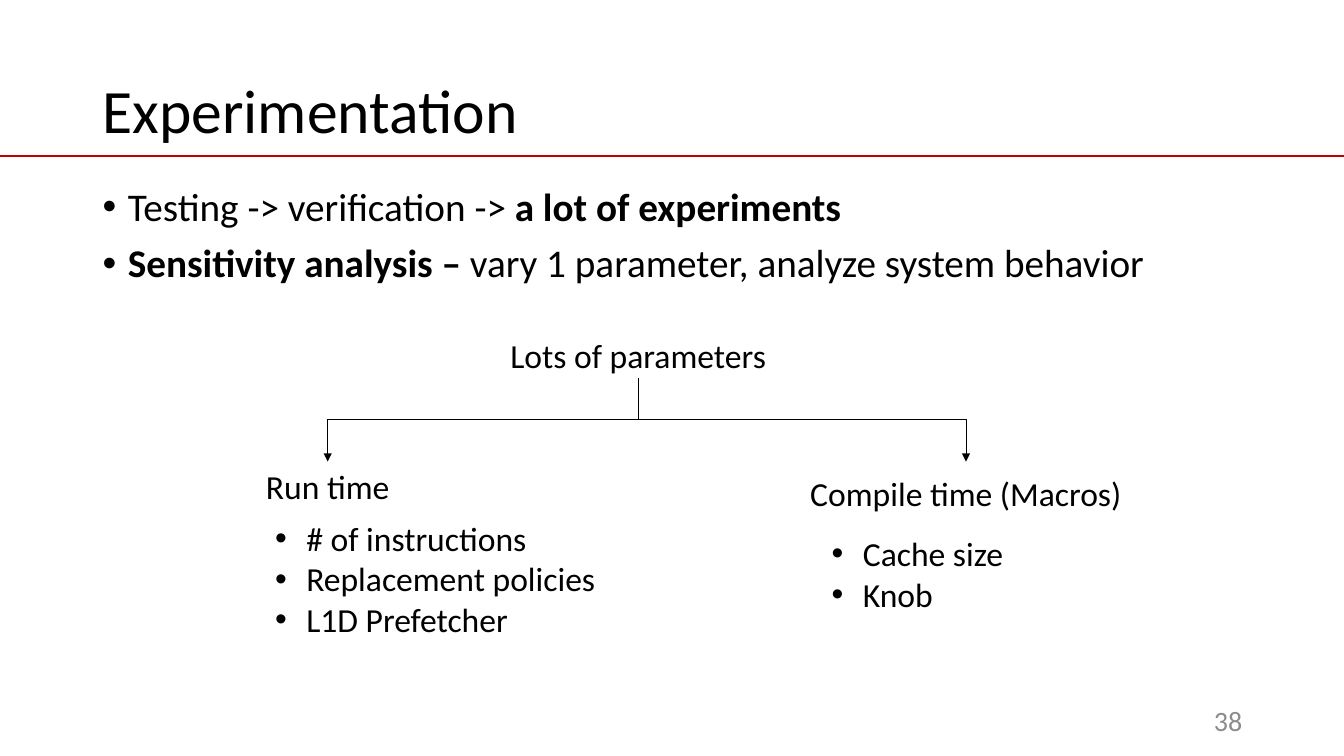
from lxml.etree import SubElement as Sub
from pptx import Presentation
from pptx.dml.color import RGBColor
from pptx.enum.shapes import MSO_CONNECTOR as Link, MSO_SHAPE as Shape
from pptx.enum.text import MSO_ANCHOR as Anchor, PP_ALIGN as Align
from pptx.oxml.ns import qn
from pptx.util import Inches, Pt

BLACK, WHITE, RED, GRAY = "000000", "FFFFFF", "C00000", "8C8C8C"


def paint(code):
    return RGBColor.from_string(code)


def write(frame, lines, size=24, color=BLACK, align=Align.LEFT,
          anchor=Anchor.TOP, indent=0, space=1, gap=0):
    frame.word_wrap = True
    frame.vertical_anchor = anchor
    for i, line in enumerate(lines):
        para = frame.paragraphs[0] if i == 0 else frame.add_paragraph()
        if indent:
            props = para._p.get_or_add_pPr()
            props.set("marL", str(Inches(indent)))
            props.set("indent", str(-Inches(indent)))
            Sub(props, qn("a:buFont"), typeface="Arial")
            Sub(props, qn("a:buChar"), char="•")
        para.alignment = align
        para.line_spacing = space
        para.space_before = Pt(gap if i else 0)
        for text, bold in [(line, False)] if isinstance(line, str) else line:
            run = para.add_run()
            run.text = text
            font = run.font
            font.name, font.size, font.bold = "Calibri", Pt(size), bold
            font.color.rgb = paint(color)


def add_text(slide, box, lines, **style):
    shape = slide.shapes.add_textbox(*map(Inches, box))
    write(shape.text_frame, lines, **style)


def add_node(slide, box, text, filled=True):
    node = slide.shapes.add_shape(Shape.ROUNDED_RECTANGLE, *map(Inches, box))
    node.shadow.inherit = False
    node.line.fill.background()
    if filled:
        node.fill.solid()
        node.fill.fore_color.rgb = paint(WHITE)
    else:
        node.fill.background()
    write(node.text_frame, [text], align=Align.CENTER, anchor=Anchor.MIDDLE)


def add_link(slide, kind, ends, color, width):
    link = slide.shapes.add_connector(kind, *map(Inches, ends))
    link.line.color.rgb = paint(color)
    link.line.width = Pt(width)
    Sub(link._element.spPr, qn("a:effectLst"))
    return link


def add_branch(slide, x, y, end, drop):
    mid_x, mid_y = (x + end) / 2, y + drop / 2
    side = 1 if end > x else -1
    half, reach = side * drop / 2, abs(end - x) / 2
    ends = mid_x + half, mid_y - reach, mid_x - half, mid_y + reach
    link = add_link(slide, Link.ELBOW, ends, BLACK, 0.5)
    angle = 270 if side > 0 else 90
    link._element.spPr.find(qn("a:xfrm")).set("rot", str(angle * 60000))
    Sub(link.line._get_or_add_ln(), qn("a:tailEnd"), type="triangle")


def add_head(slide, left, top, width, height):
    add_link(slide, Link.STRAIGHT, (0, 1.55, 13.33, 1.55), RED, 1.5)
    add_text(slide, (left, top, width, height), ["Experimentation"],
             size=44, anchor=Anchor.MIDDLE, space=0.9)


def add_points(slide, *box):
    lines = [
        [("Testing -> verification -> ", False), ("a lot of experiments", True)],
        [("Sensitivity analysis – ", True),
         ("vary 1 parameter, analyze system behavior", False)],
    ]
    add_text(slide, box, lines, size=28, indent=0.25, space=0.9, gap=10)


def add_tree(slide, left, top):
    root = left + 4.44
    add_node(slide, (root - 1.52, top, 3.04, 0.47), "Lots of parameters")
    groups = [
        ("Run time", 0, 2.72, 0.48, False, 0.74,
         ["# of instructions", "Replacement policies", "L1D Prefetcher"]),
        ("Compile time (Macros)", 5.71, 3.96, 0.63, True, 0.55,
         ["Cache size", "Knob"]),
    ]
    for name, shift, width, height, filled, inset, items in groups:
        x, y = left + shift, top + 1.29
        add_node(slide, (x, y, width, height), name, filled)
        add_branch(slide, root, top + 0.46, x + width / 2, 0.83)
        add_text(slide, (x + inset, y + height + 0.03, 3.96,
                         0.1 + 0.4 * len(items)), items, indent=0.31)


def main():
    deck = Presentation()
    deck.slide_width, deck.slide_height = Inches(13.33), Inches(7.5)
    slide = deck.slides.add_slide(deck.slide_layouts[6])
    add_head(slide, 0.92, 0.4, 11.5, 1.45)
    add_points(slide, 0.92, 1.81, 11.5, 1.31)
    add_tree(slide, 1.89, 3.29)
    add_text(slide, (9.42, 6.95, 3, 0.4), ["38"], size=20, color=GRAY,
             align=Align.RIGHT, anchor=Anchor.MIDDLE)
    deck.save("out.pptx")


if __name__ == "__main__":
    main()
